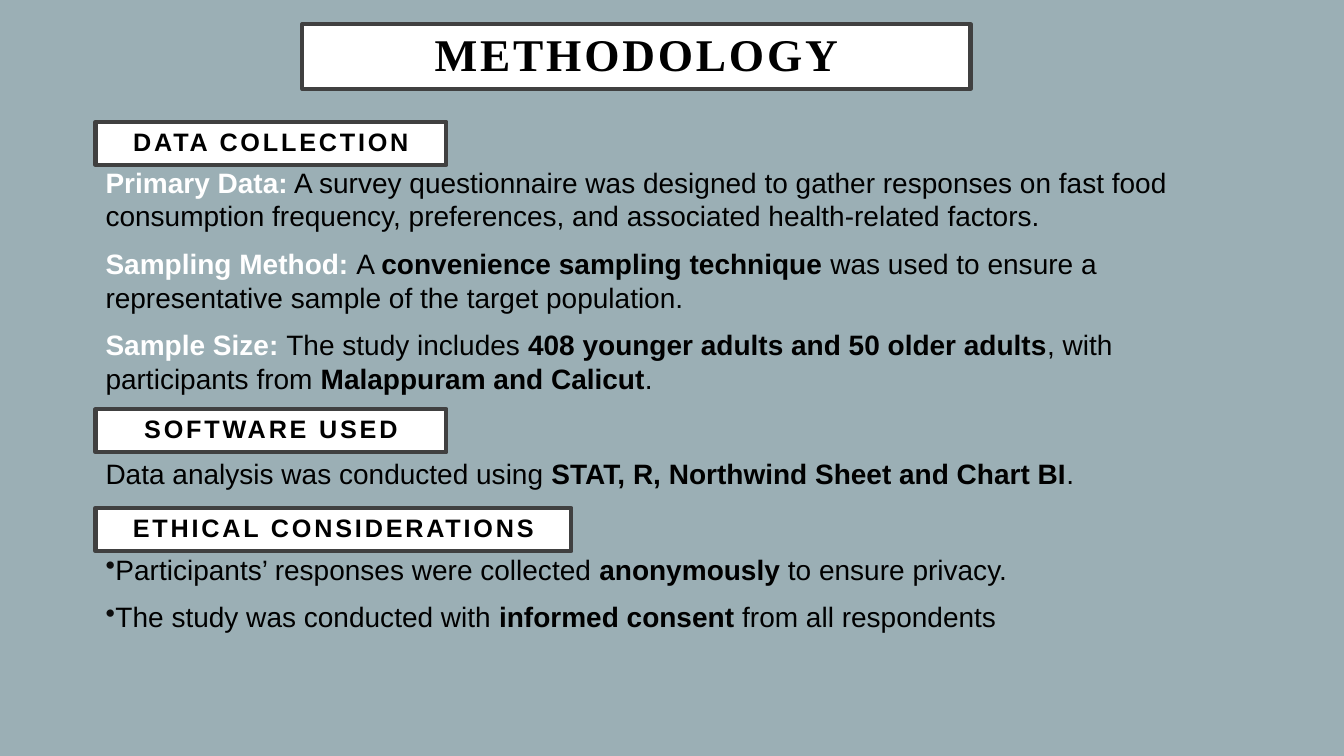
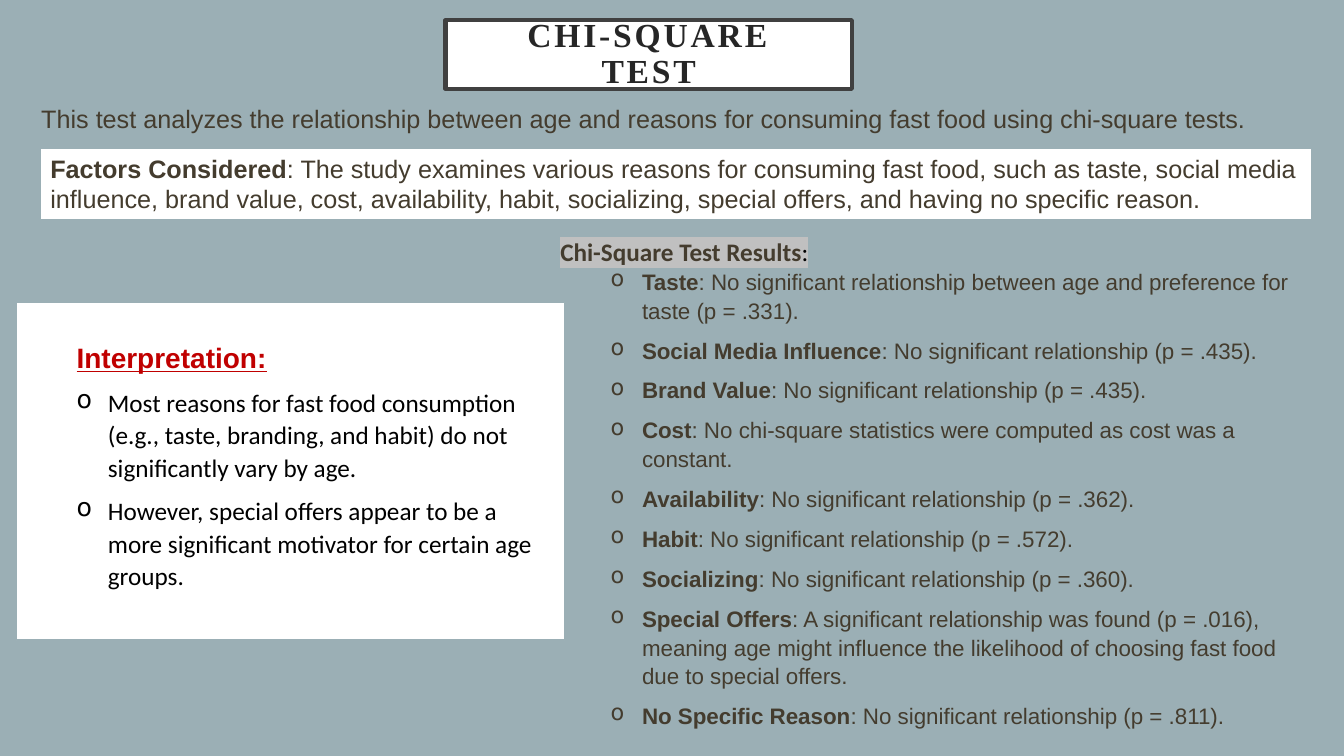
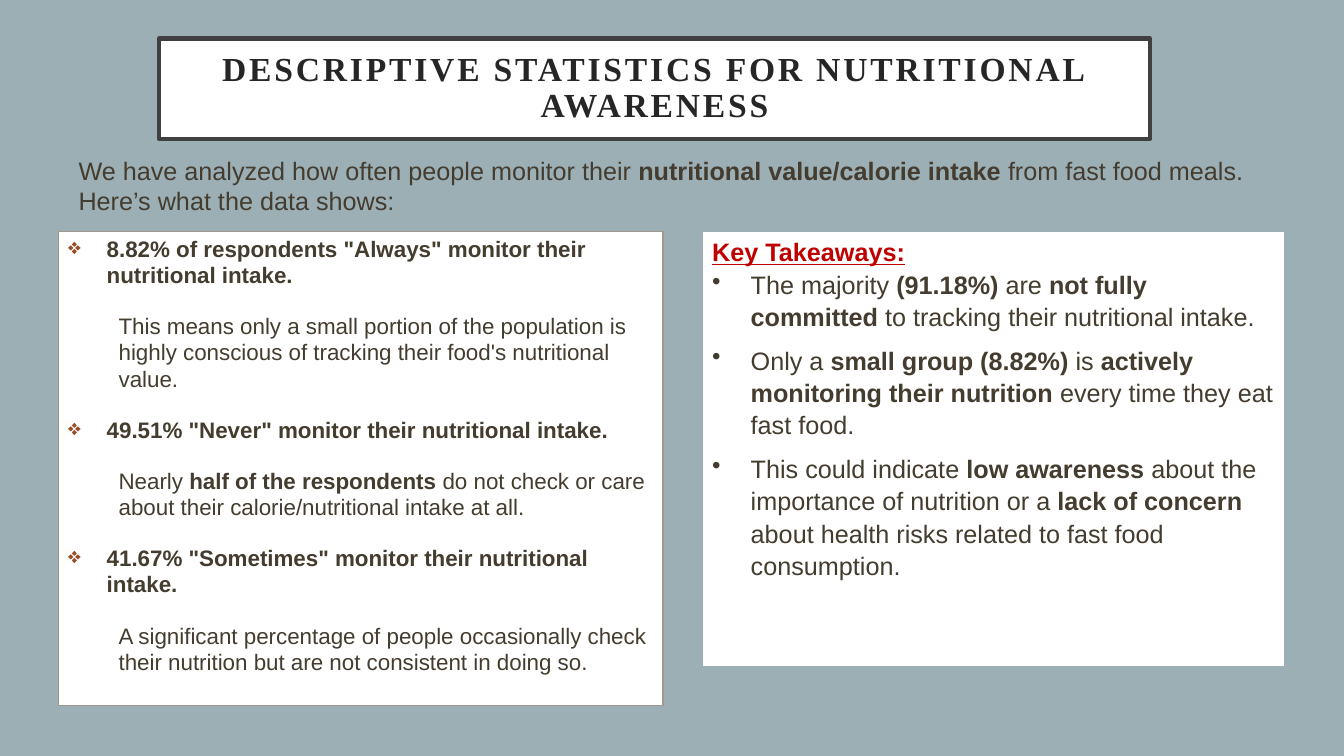
from lxml import etree
from pptx import Presentation
from pptx.dml.color import RGBColor as Rgb
from pptx.enum.shapes import MSO_SHAPE as Shape
from pptx.enum.text import MSO_ANCHOR as Anchor, PP_ALIGN as Align
from pptx.oxml.ns import qn
from pptx.util import Cm, Pt

COLORS = {
    "background": "9BAFB5",
    "white": "FFFFFF",
    "black": "000000",
    "frame": "404040",
    "title": "262626",
    "brown": "443C2E",
    "red": "C00000",
    "highlight": "C0C0C0",
    "list_line": "A0988C",
    "dot": "0D0D0D",
    "diamond": "974D25",
}
CIRCLE_LIST = dict(bullet="o", left=2.06, hanging=0.79, line_spacing=1.07, after=8)
DIAMOND_LIST = dict(bullet="❖", bullet_color="diamond", left=0.97, hanging=0.97,
                    line_spacing=0.97, after=8, bold=True)
DETAIL = dict(left=1.27, line_spacing=0.97, before=10, after=8)
DOT_LIST = dict(bullet="•", left=0.97, hanging=0.97, line_spacing=1.07, after=8, size=18)


def rgb(name):
    return Rgb.from_string(COLORS[name])


def add_color(parent, tag, color):
    element = etree.SubElement(parent, qn(tag))
    etree.SubElement(element, qn("a:srgbClr")).set("val", COLORS[color])
    return element


def add_box(slide, left, top, width, height, fill=None, line=None, line_width=1):
    position = [Cm(value) for value in (left, top, width, height)]
    if fill is None:
        shape = slide.shapes.add_textbox(*position)
    else:
        shape = slide.shapes.add_shape(Shape.RECTANGLE, *position)
        shape.shadow.inherit = False
        shape.fill.solid()
        shape.fill.fore_color.rgb = rgb(fill)
        shape.line.color.rgb = rgb(line)
        shape.line.width = Pt(line_width)
    frame = shape.text_frame
    frame.word_wrap = True
    frame.vertical_anchor = Anchor.TOP
    return frame


def add_text(frame, text, size=16, font="Arial", color="brown", lead_color=None,
             bold=False, underline=False, highlight=None, letter_spacing=0,
             align=Align.LEFT, line_spacing=None, before=0, after=0,
             left=0, hanging=0, bullet=None, bullet_color=None):
    paragraph = frame.paragraphs[0]
    if paragraph.runs:
        paragraph = frame.add_paragraph()
        paragraph.space_before = Pt(before)
    paragraph.alignment = align
    paragraph.space_after = Pt(after)
    if line_spacing:
        paragraph.line_spacing = line_spacing
    properties = paragraph._p.get_or_add_pPr()
    properties.set("marL", str(Cm(left)))
    properties.set("indent", str(-Cm(hanging)))
    if bullet_color:
        add_color(properties, "a:buClr", bullet_color)
    if bullet:
        etree.SubElement(properties, qn("a:buChar")).set("char", bullet)

    for index, piece in enumerate(text.split("**")):
        if not piece:
            continue
        run = paragraph.add_run()
        run.text = piece
        run.font.size = Pt(size)
        run.font.name = font
        run.font.bold = bold or index % 2 == 1
        run.font.underline = underline
        run.font.color.rgb = rgb(lead_color if lead_color and index == 1 else color)
        run_properties = run._r.get_or_add_rPr()
        if letter_spacing:
            run_properties.set("spc", str(letter_spacing * 100))
        if highlight:
            mark = add_color(run_properties, "a:highlight", highlight)
            run_properties.find(qn("a:solidFill")).addnext(mark)


def add_framed_label(slide, text, left, top, width, height, **text_format):
    frame = add_box(slide, left, top, width, height, "white", "frame", 3)
    frame.vertical_anchor = Anchor.MIDDLE
    frame.margin_left = frame.margin_right = Cm(0.76)
    frame.margin_top = frame.margin_bottom = Cm(0.51)
    add_text(frame, text, bold=True, letter_spacing=2, align=Align.CENTER,
             line_spacing=0.9, **text_format)


def add_title(slide, text, left, top, width, height, size=24, color="title"):
    add_framed_label(slide, text, left, top, width, height,
                     size=size, color=color, font="Times New Roman")


def add_panel(slide, left, top, width, height, line="background"):
    return add_box(slide, left, top, width, height, "white", line)


def build_methodology(slide):
    add_title(slide, "METHODOLOGY", 7.62, 0.61, 16.84, 1.63, size=32.4, color="black")
    sections = [
        ("DATA COLLECTION", 3.07, 8.84, 4.04, 5.9, {}, [
            "**Primary Data:** A survey questionnaire was designed to gather responses on "
            "fast food consumption frequency, preferences, and associated health-related factors.",
            "**Sampling Method: **A **convenience sampling technique** was used to ensure "
            "a representative sample of the target population.",
            "**Sample Size: **The study includes **408 younger adults and 50 older adults**, "
            "with participants from **Malappuram and Calicut**.",
        ]),
        ("SOFTWARE USED", 10.31, 8.84, 11.38, 1.1, {}, [
            "Data analysis was conducted using **STAT, R, Northwind Sheet and Chart BI**.",
        ]),
        ("ETHICAL CONSIDERATIONS", 12.8, 11.99, 13.79, 2.4,
         dict(bullet="•", bullet_color="dot"), [
             "Participants’ responses were collected **anonymously** to ensure privacy.",
             "The study was conducted with **informed consent** from all respondents",
         ]),
    ]
    for heading, top, width, body_top, body_height, list_format, texts in sections:
        frame = add_box(slide, 2.41, body_top, 29.03, body_height)
        for text in texts:
            lead_color = "white" if text.startswith("**") else None
            add_text(frame, text, size=20, color="black", lead_color=lead_color,
                     before=10, **list_format)
        add_framed_label(slide, heading, 2.41, top, width, 1.09, size=18, color="black")


def build_chi_square(slide):
    add_title(slide, "CHI-SQUARE TEST", 11.23, 0.51, 10.24, 1.73)
    introduction = add_box(slide, 0.79, 2.49, 33.07, 1.3)
    add_text(introduction, "This test analyzes the relationship between age and reasons for "
             "consuming fast food using chi-square tests.", size=18)
    factors = add_panel(slide, 1.02, 3.73, 32.05, 1.8)
    add_text(factors, "**Factors Considered**: The study examines various reasons for consuming "
             "fast food, such as taste, social media influence, brand value, cost, availability, "
             "habit, socializing, special offers, and having no specific reason.", size=18)

    results = add_box(slide, 13.87, 5.82, 19.2, 13.1)
    add_text(results, "**Chi-Square Test Results**:", size=18, font="Calibri",
             color="black", lead_color="brown", highlight="highlight")
    for reason, finding in [
        ("Taste", "No significant relationship between age and preference for taste (p = .331)."),
        ("Social Media Influence", "No significant relationship (p = .435)."),
        ("Brand Value", "No significant relationship (p = .435)."),
        ("Cost", "No chi-square statistics were computed as cost was a constant."),
        ("Availability", "No significant relationship (p = .362)."),
        ("Habit", "No significant relationship (p = .572)."),
        ("Socializing", "No significant relationship (p = .360)."),
        ("Special Offers", "A significant relationship was found (p = .016), meaning age might "
                           "influence the likelihood of choosing fast food due to special offers."),
        ("No Specific Reason", "No significant relationship (p = .811)."),
    ]:
        add_text(results, f"**{reason}**: {finding}", **CIRCLE_LIST)

    interpretation = add_panel(slide, 0.41, 7.62, 13.82, 8.51)
    interpretation.margin_top = Cm(0.9)
    add_text(interpretation, "Interpretation:", size=20, color="red", bold=True,
             underline=True, left=1.27, line_spacing=1.07, after=8)
    for text in [
        "Most reasons for fast food consumption (e.g., taste, branding, and habit) "
        "do not significantly vary by age.",
        "However, special offers appear to be a more significant motivator for certain age groups.",
    ]:
        add_text(interpretation, text, size=18, font="Calibri", color="black", **CIRCLE_LIST)


def build_awareness(slide):
    add_title(slide, "DESCRIPTIVE STATISTICS FOR NUTRITIONAL AWARENESS", 4.01, 0.97, 24.97, 2.54)
    statistics = add_panel(slide, 1.47, 5.84, 15.24, 11.94, line="list_line")
    for finding, detail in [
        ('8.82% of respondents "Always" monitor their nutritional intake.',
         "This means only a small portion of the population is highly conscious of "
         "tracking their food's nutritional value."),
        ('49.51% "Never" monitor their nutritional intake.',
         "Nearly **half of the respondents** do not check or care about their "
         "calorie/nutritional intake at all."),
        ('41.67% "Sometimes" monitor their nutritional intake.',
         "A significant percentage of people occasionally check their nutrition "
         "but are not consistent in doing so."),
    ]:
        add_text(statistics, finding, before=10, **DIAMOND_LIST)
        add_text(statistics, detail, **DETAIL)

    introduction = add_box(slide, 1.73, 3.78, 30.63, 1.8)
    for text in [
        "We have analyzed how often people monitor their **nutritional value/calorie intake** "
        "from fast food meals.",
        "Here’s what the data shows:",
    ]:
        add_text(introduction, text, size=18)

    takeaways = add_panel(slide, 17.7, 5.84, 14.68, 10.95)
    add_text(takeaways, "Key Takeaways:", size=18, color="red", bold=True, underline=True)
    for text in [
        "The majority **(91.18%) **are **not fully committed** to tracking their nutritional intake.",
        "Only a **small group (8.82%)** is **actively monitoring their nutrition** "
        "every time they eat fast food.",
        "This could indicate **low awareness** about the importance of nutrition or a "
        "**lack of concern** about health risks related to fast food consumption.",
    ]:
        add_text(takeaways, text, **DOT_LIST)


def main():
    presentation = Presentation()
    presentation.slide_width = Cm(33.87)
    presentation.slide_height = Cm(19.05)
    background = presentation.slide_master.background.fill
    background.solid()
    background.fore_color.rgb = rgb("background")
    for build in (build_methodology, build_chi_square, build_awareness):
        build(presentation.slides.add_slide(presentation.slide_layouts[6]))
    presentation.save("out.pptx")


if __name__ == "__main__":
    main()
